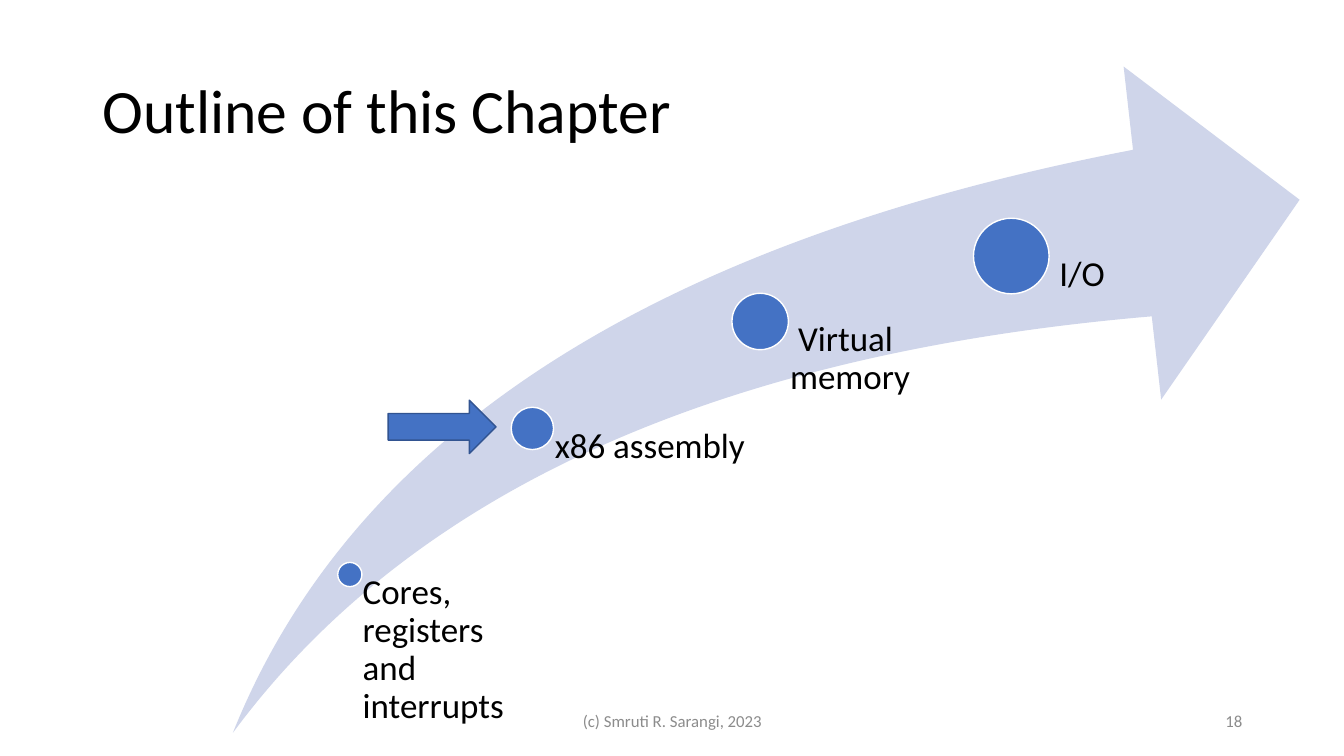
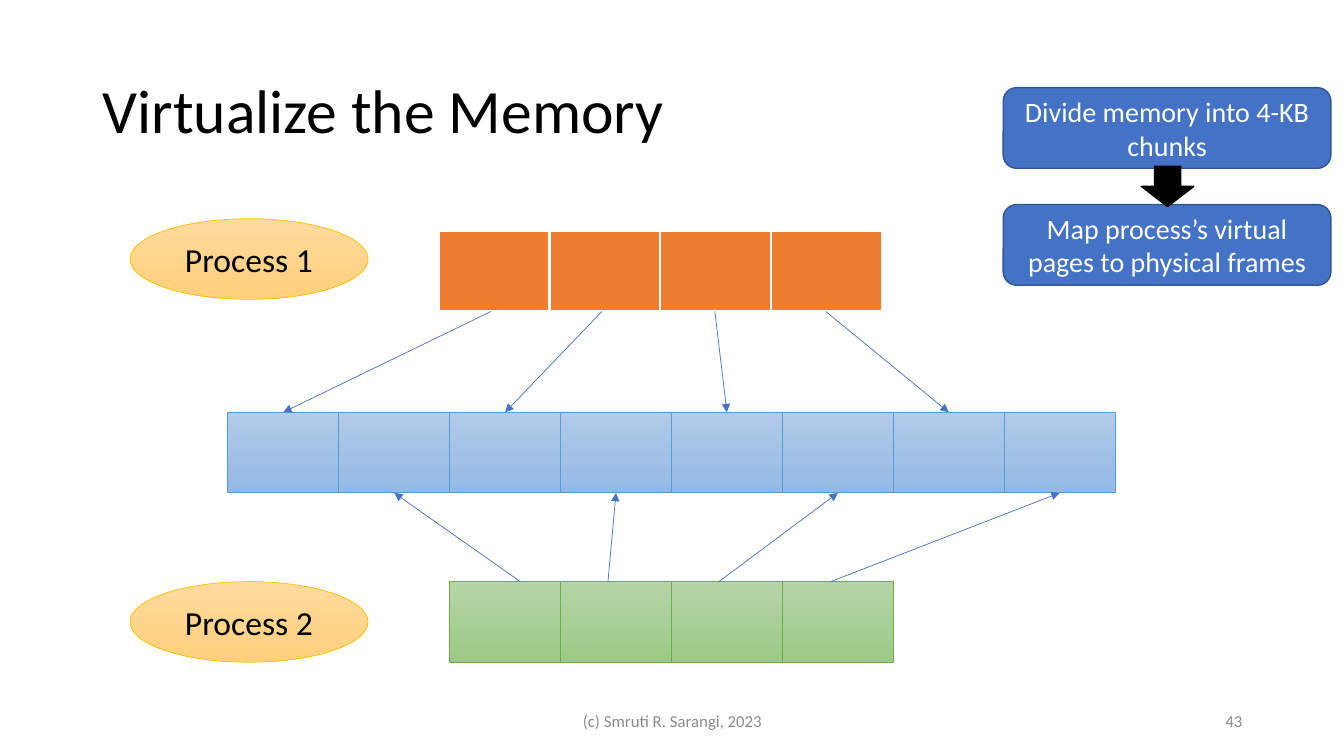
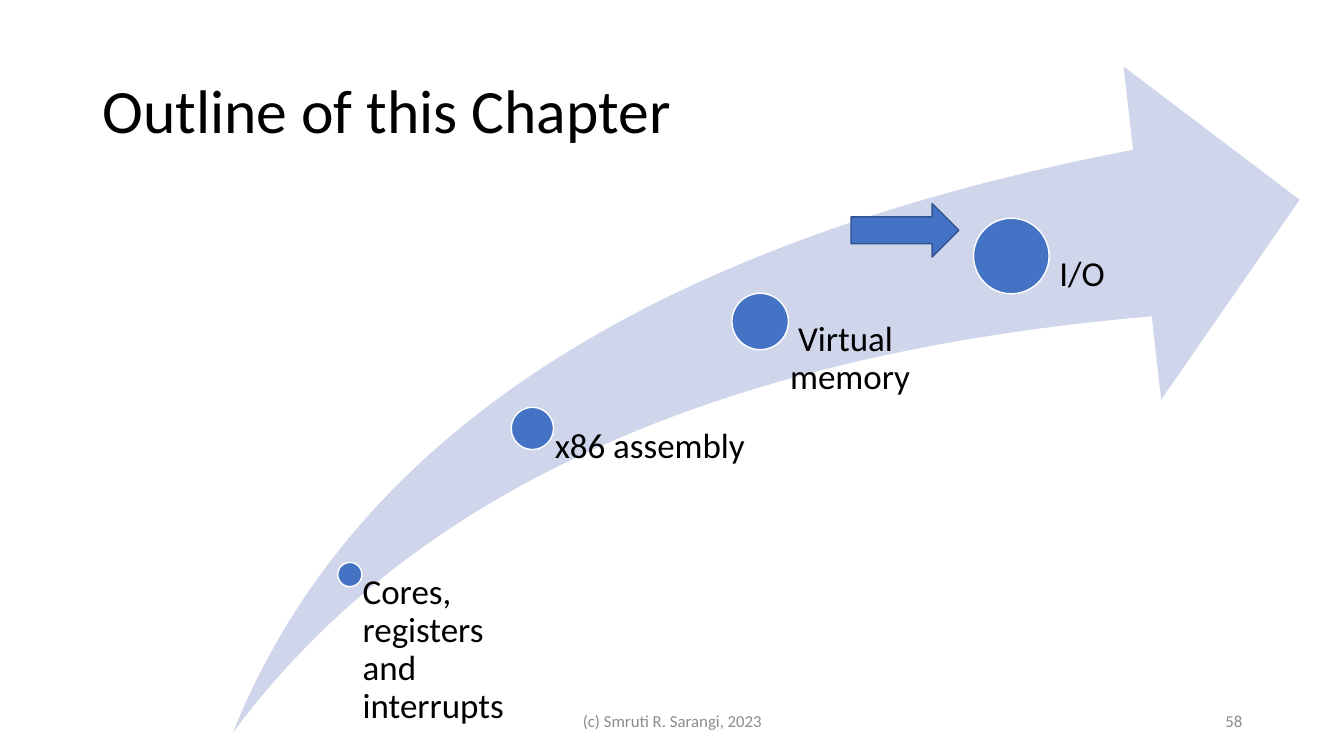
from lxml.etree import SubElement
from pptx import Presentation
from pptx.dml.color import RGBColor
from pptx.enum.shapes import MSO_CONNECTOR, MSO_SHAPE
from pptx.enum.text import MSO_ANCHOR, PP_ALIGN
from pptx.oxml.ns import qn
from pptx.util import Inches, Pt

FONT = "Calibri"
COLORS = {
    "text": "000000",
    "white": "FFFFFF",
    "footer": "8C8C8C",
    "blue": "4472C4",
    "blue edge": "325491",
    "swoosh": "CFD5EA",
    "virtual page": "ED7D31",
    "frame edge": "5B9BD5",
    "page edge": "70AD47",
    "process edge": "FFC000",
}
# Top and bottom colours of the shaded fills
SHADES = {
    "frame": ("B1CBE9", "93B9E4"),
    "page": ("B5D5A7", "9CC987"),
    "process": ("FFDB9E", "FFD07C"),
}
FOOTER = "(c) Smruti R. Sarangi, 2023"

# Outline milestones: text, centre x, centre y, dot diameter, label width
MILESTONES = [
    ("Cores, registers and interrupts", 3.47, 5.7, 0.24, 1.81),
    ("x86 assembly", 5.28, 4.25, 0.42, 2.22),
    (" Virtual memory", 7.54, 3.19, 0.56, 2.22),
    (" I/O", 10.03, 2.54, 0.75, 2.22),
]
OUTLINE_BOTTOM = 7.28

CELL_WIDTH, CELL_HEIGHT = 1.1, 0.8
TOP, BOTTOM = 0, 2  # connection sites of a rectangle


def rgb(name):
    return RGBColor.from_string(COLORS[name])


def write(shape, text, size, color, align):
    frame = shape.text_frame
    frame.text = text
    frame.word_wrap = True
    paragraph = frame.paragraphs[0]
    paragraph.alignment = align
    font = paragraph.runs[0].font
    font.name, font.size, font.color.rgb = FONT, Pt(size), rgb(color)
    return paragraph


def add_text(slide, box, text, size, color="text", align=PP_ALIGN.LEFT,
             anchor=MSO_ANCHOR.MIDDLE, spacing=None):
    textbox = slide.shapes.add_textbox(*map(Inches, box))
    textbox.text_frame.vertical_anchor = anchor
    write(textbox, text, size, color, align).line_spacing = spacing
    return textbox


def add_figure(slide, kind, box, fill, edge=None, weight=1.0):
    """Add a preset shape; fill names a shade or a plain colour."""
    figure = slide.shapes.add_shape(kind, *map(Inches, box))
    figure.shadow.inherit = False
    if fill in SHADES:
        figure.fill.gradient()
        figure.fill.gradient_angle = 270
        for stop, shade in zip(figure.fill.gradient_stops, SHADES[fill]):
            stop.color.rgb = RGBColor.from_string(shade)
    else:
        figure.fill.solid()
        figure.fill.fore_color.rgb = rgb(fill)
    if edge:
        figure.line.color.rgb = rgb(edge)
        figure.line.width = Pt(weight)
    else:
        figure.line.fill.background()
    return figure


def add_labelled(slide, kind, box, text, size, color, fill, edge, weight=1.0):
    figure = add_figure(slide, kind, box, fill, edge, weight)
    write(figure, text, size, color, PP_ALIGN.CENTER)


def add_cells(slide, left, top, count, fill, edge, weight):
    return [add_figure(slide, MSO_SHAPE.RECTANGLE,
                       (left + i * CELL_WIDTH, top, CELL_WIDTH, CELL_HEIGHT),
                       fill, edge, weight)
            for i in range(count)]


def add_mapping(slide, x, y, frame, side):
    """Draw a thin arrow from a page at (x, y) to one side of a frame."""
    arrow = slide.shapes.add_connector(
        MSO_CONNECTOR.STRAIGHT, Inches(x), Inches(y), frame.left, frame.top)
    arrow.end_connect(frame, side)
    arrow.line.color.rgb = rgb("blue")
    arrow.line.width = Pt(0.5)
    properties = arrow.element.spPr
    SubElement(properties.find(qn("a:ln")), qn("a:tailEnd"), type="triangle")
    SubElement(properties, qn("a:effectLst"))


def add_page(deck, title, number):
    slide = deck.slides.add_slide(deck.slide_layouts[6])
    add_text(slide, (0.92, 0.4, 11.5, 1.45), title, 44, spacing=0.9)
    add_text(slide, (9.42, 6.95, 3, 0.4), str(number), 12, "footer",
             PP_ALIGN.RIGHT)
    add_text(slide, (4.42, 6.95, 4.5, 0.4), FOOTER, 12, "footer",
             PP_ALIGN.CENTER)
    return slide


def outline_slide(deck, number, pointer_left, pointer_top):
    slide = add_page(deck, "Outline of this Chapter", number)
    swoosh = add_figure(slide, MSO_SHAPE.SWOOSH_ARROW,
                        (2.31, 0.66, 10.58, 6.61), "swoosh")
    swoosh.adjustments[0] = swoosh.adjustments[1] = 0.25

    # Dots, each with a label starting at its centre
    for text, x, y, size, width in MILESTONES:
        add_figure(slide, MSO_SHAPE.OVAL,
                   (x - size / 2, y - size / 2, size, size), "blue", "white")
        label = add_text(slide, (x, y, width, OUTLINE_BOTTOM - y), text, 25,
                         anchor=MSO_ANCHOR.TOP, spacing=0.9)
        frame = label.text_frame
        frame.margin_left = Inches(0.53 * size)
        frame.margin_top = frame.margin_right = frame.margin_bottom = 0

    # Pointer to the current topic
    add_figure(slide, MSO_SHAPE.RIGHT_ARROW,
               (pointer_left, pointer_top, 1.07, 0.53), "blue", "blue edge")


def memory_slide(deck, number):
    slide = add_page(deck, "Virtualize the Memory", number)
    process1_top, frames_top, process2_top = 2.29, 4.09, 5.77

    # Physical frames and the pages of both processes
    frames = add_cells(slide, 2.26, frames_top, 8, "frame", "frame edge", 0.5)
    add_cells(slide, 4.35, process1_top, 4, "virtual page", "white", 1.5)
    add_cells(slide, 4.46, process2_top, 4, "page", "page edge", 0.5)

    # Process names
    for name, top in (("Process 1", 2.17), ("Process 2", process2_top)):
        add_labelled(slide, MSO_SHAPE.OVAL, (1.29, top, 2.36, 0.8), name, 24,
                     "text", "process", "process edge", 0.5)

    # The processes take alternate frames
    for x, frame in zip((4.87, 5.97, 7.09, 8.19), frames[::2]):
        add_mapping(slide, x, process1_top + CELL_HEIGHT, frame, TOP)
    for x, frame in zip((5.16, 6.03, 7.13, 8.24), frames[1::2]):
        add_mapping(slide, x, process2_top, frame, BOTTOM)

    # Steps at the top right
    steps = (("Divide memory into 4-KB chunks", 0.87),
             ("Map process’s virtual pages to physical frames", 2.03))
    for step, top in steps:
        add_labelled(slide, MSO_SHAPE.ROUNDED_RECTANGLE,
                     (9.95, top, 3.25, 0.8), step, 20, "white", "blue",
                     "blue edge")
    add_figure(slide, MSO_SHAPE.DOWN_ARROW, (11.32, 1.65, 0.52, 0.4),
               "text", "text")


def main():
    deck = Presentation()
    deck.slide_width, deck.slide_height = Inches(13.33), Inches(7.5)
    outline_slide(deck, 18, 3.85, 3.97)
    memory_slide(deck, 43)
    outline_slide(deck, 58, 8.44, 2.02)
    deck.save("out.pptx")


if __name__ == "__main__":
    main()
